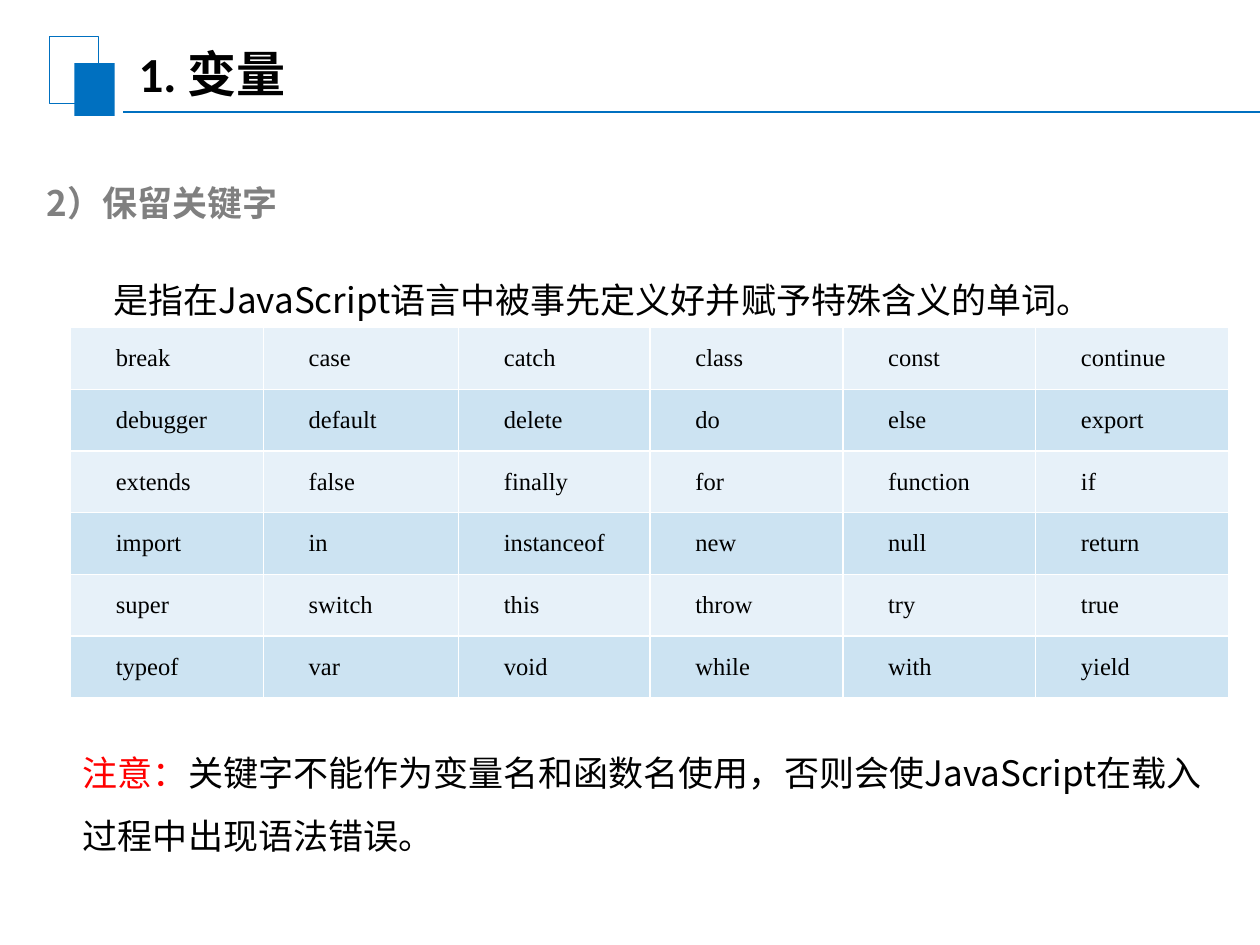
from dataclasses import dataclass

from lxml.etree import SubElement
from pptx import Presentation
from pptx.dml.color import RGBColor
from pptx.enum.shapes import MSO_CONNECTOR, MSO_SHAPE
from pptx.enum.text import MSO_ANCHOR, MSO_AUTO_SIZE, PP_ALIGN
from pptx.oxml.ns import qn
from pptx.util import Inches, Pt


@dataclass(frozen=True)
class Theme:
    blue: str = "0070C0"
    black: str = "000000"
    gray: str = "808080"
    red: str = "FF0000"
    white: str = "FFFFFF"
    bands: tuple = ("E7F1F9", "CCE3F2")
    title_font: str = "Calibri"
    body_font: str = "Noto Sans CJK SC"
    code_font: str = "Times New Roman"
    title_size: int = 28
    body_size: int = 20
    code_size: int = 14


THEME = Theme()
KEYWORDS = [
    ["break", "case", "catch", "class", "const", "continue"],
    ["debugger", "default", "delete", "do", "else", "export"],
    ["extends", "false", "finally", "for", "function", "if"],
    ["import", "in", "instanceof", "new", "null", "return"],
    ["super", "switch", "this", "throw", "try", "true"],
    ["typeof", "var", "void", "while", "with", "yield"],
]
COLUMN_WIDTHS = [1.53, 1.55, 1.52, 1.53, 1.53, 1.53]
ROW_HEIGHT = 0.49


def rgb(color):
    return RGBColor.from_string(color)


def format_run(run, font, size, color, bold=False):
    run.font.name = font
    run.font.size = Pt(size)
    run.font.bold = bold
    run.font.color.rgb = rgb(color)
    east_asian = THEME.body_font if font == THEME.title_font else font
    SubElement(run.font._element, qn("a:ea")).set("typeface", east_asian)


def set_indent(paragraph, margin, first_line):
    properties = paragraph._p.get_or_add_pPr()
    properties.set("marL", str(Inches(margin)))
    properties.set("indent", str(Inches(first_line)))


def add_block(slide, box):
    left, top, width, height = map(Inches, box)
    return slide.shapes.add_shape(MSO_SHAPE.RECTANGLE, left, top, width, height)


def add_header_mark(slide):
    frame = add_block(slide, (0.39, 0.29, 0.39, 0.53))
    frame.fill.background()
    frame.line.color.rgb = rgb(THEME.blue)
    frame.line.width = Pt(0.75)
    square = add_block(slide, (0.59, 0.5, 0.32, 0.42))
    square.fill.solid()
    square.fill.fore_color.rgb = rgb(THEME.blue)
    square.line.fill.background()
    for block in (frame, square):
        block.shadow.inherit = False
    rule = slide.shapes.add_connector(
        MSO_CONNECTOR.STRAIGHT, Inches(0.98), Inches(0.89), Inches(10), Inches(0.89))
    rule.line.color.rgb = rgb(THEME.blue)
    rule.line.width = Pt(1.25)
    SubElement(rule._element.spPr, qn("a:effectLst"))


def set_title(slide, text):
    title = slide.shapes.title
    title.left, title.top, title.width, title.height = map(
        Inches, (0.97, 0.29, 3.97, 0.58))
    frame = title.text_frame
    frame.text = text
    frame.auto_size = MSO_AUTO_SIZE.NONE
    frame.vertical_anchor = MSO_ANCHOR.MIDDLE
    frame.margin_left = frame.margin_right = Inches(0.13)
    frame.margin_top = frame.margin_bottom = Inches(0.07)
    paragraph = frame.paragraphs[0]
    paragraph.alignment = PP_ALIGN.LEFT
    format_run(paragraph.runs[0], THEME.title_font, THEME.title_size, THEME.black, True)


def add_paragraph_box(slide, box, parts, spacing=1.0, bold=False):
    frame = slide.shapes.add_textbox(*map(Inches, box)).text_frame
    frame.word_wrap = True
    frame.auto_size = MSO_AUTO_SIZE.SHAPE_TO_FIT_TEXT
    paragraph = frame.paragraphs[0]
    paragraph.line_spacing = spacing
    for text, color in parts:
        run = paragraph.add_run()
        run.text = text
        format_run(run, THEME.body_font, THEME.body_size, color, bold)
    return paragraph


def add_cell_borders(cell):
    properties = cell._tc.get_or_add_tcPr()
    for index, side in enumerate(("a:lnL", "a:lnR", "a:lnT", "a:lnB")):
        border = properties.makeelement(qn(side), {"w": str(Pt(1))})
        fill = SubElement(border, qn("a:solidFill"))
        SubElement(fill, qn("a:srgbClr")).set("val", THEME.white)
        properties.insert(index, border)


def fill_cell(cell, keyword, band):
    cell.fill.solid()
    cell.fill.fore_color.rgb = rgb(band)
    add_cell_borders(cell)
    cell.vertical_anchor = MSO_ANCHOR.MIDDLE
    cell.margin_left = cell.margin_right = Inches(0.07)
    cell.margin_top = cell.margin_bottom = 0
    paragraph = cell.text_frame.paragraphs[0]
    paragraph.text = keyword
    paragraph.alignment = PP_ALIGN.JUSTIFY
    set_indent(paragraph, 0, 0.29)
    format_run(paragraph.runs[0], THEME.code_font, THEME.code_size, THEME.black)


def add_keyword_table(slide):
    table = slide.shapes.add_table(
        len(KEYWORDS), len(COLUMN_WIDTHS), Inches(0.56), Inches(2.6),
        Inches(sum(COLUMN_WIDTHS)), Inches(ROW_HEIGHT * len(KEYWORDS))).table
    table.first_row = table.horz_banding = False
    for column, width in zip(table.columns, COLUMN_WIDTHS):
        column.width = Inches(width)
    for r, keywords in enumerate(KEYWORDS):
        table.rows[r].height = Inches(ROW_HEIGHT)
        for c, keyword in enumerate(keywords):
            fill_cell(table.cell(r, c), keyword, THEME.bands[r % 2])


def main():
    deck = Presentation()
    deck.slide_width, deck.slide_height = Inches(10), Inches(7.5)
    slide = deck.slides.add_slide(deck.slide_layouts[5])
    add_header_mark(slide)
    set_title(slide, "1. 变量")
    heading = add_paragraph_box(
        slide, (0.27, 1.39, 9.22, 0.44), [("2）保留关键字", THEME.gray)], bold=True)
    set_indent(heading, 0.5, -0.5)
    add_paragraph_box(
        slide, (0.8, 1.83, 8.28, 0.77),
        [("是指在JavaScript语言中被事先定义好并赋予特殊含义的单词。", THEME.black)], 2.0)
    add_keyword_table(slide)
    add_paragraph_box(
        slide, (0.56, 5.75, 9.2, 1.05),
        [("注意：", THEME.red),
         ("关键字不能作为变量名和函数名使用，否则会使JavaScript在载入过程中出现语法错误。",
          THEME.black)], 1.5)
    deck.save("out.pptx")


if __name__ == "__main__":
    main()
